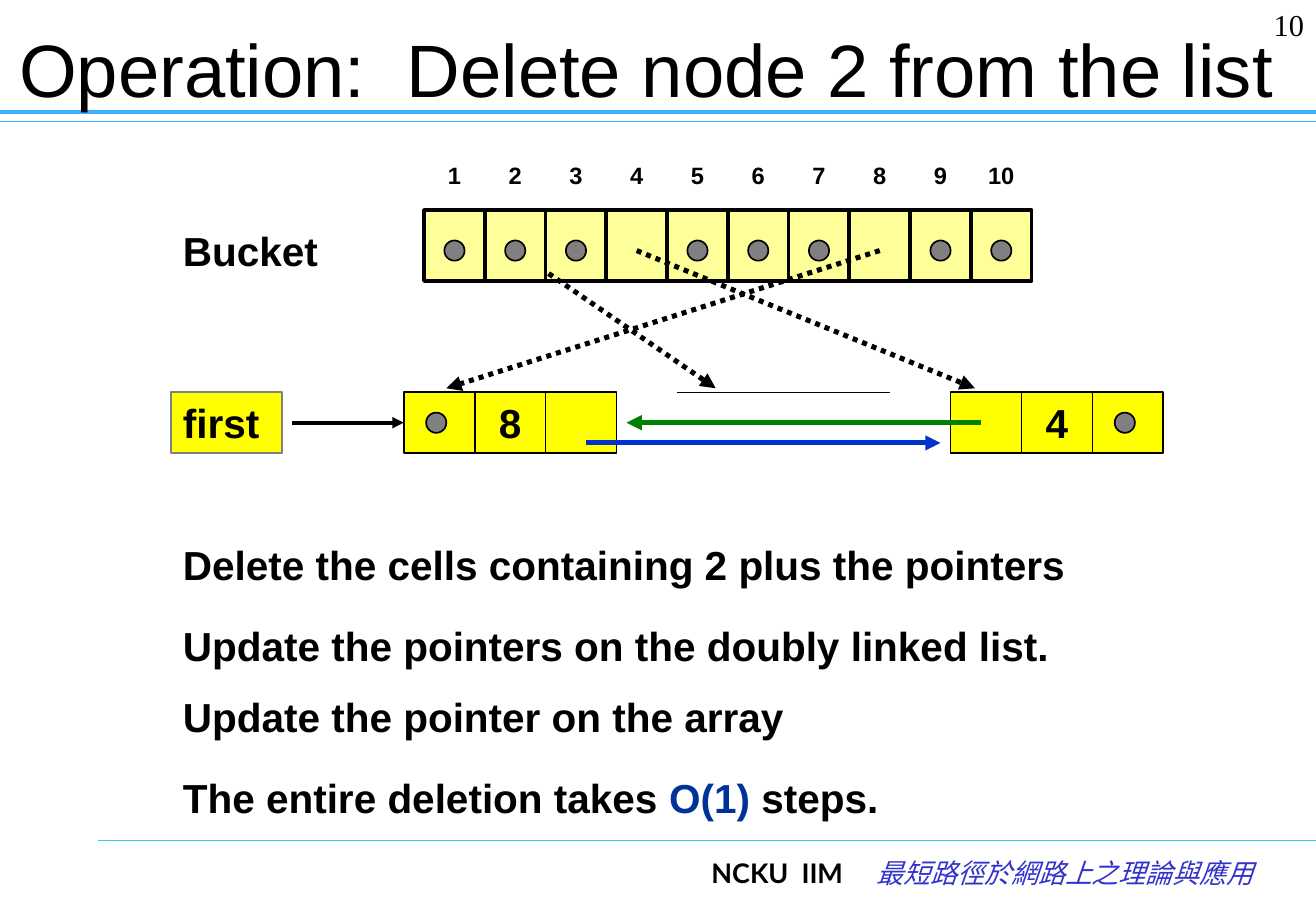
import dataclasses

import pptx
import pptx.dml.color
import pptx.enum.dml
import pptx.enum.shapes
import pptx.enum.text
import pptx.oxml.ns
import pptx.util
from lxml import etree

SHAPE = pptx.enum.shapes.MSO_SHAPE
ALIGN = pptx.enum.text.PP_ALIGN
ANCHOR = pptx.enum.text.MSO_ANCHOR
DOTTED = pptx.enum.dml.MSO_LINE.ROUND_DOT
qn = pptx.oxml.ns.qn


@dataclasses.dataclass(frozen=True)
class Theme:
    font: str = "Arial"
    page_font: str = "Times New Roman"
    footer_font: str = "Lato"
    course_font: str = "Noto Sans Mono"
    ink: str = "000000"
    array_cell: str = "FFFF99"
    node_cell: str = "FFFF00"
    grey: str = "808080"
    next_link: str = "0033CC"
    prev_link: str = "008000"
    emphasis: str = "003399"
    course: str = "3333CC"
    title_rule: str = "3DB0FF"
    footer_rule: str = "33CCFF"
    title_size: int = 44
    body_size: int = 24
    page_size: int = 18
    footer_size: int = 16
    index_size: int = 14


def rgb(value):
    return pptx.dml.color.RGBColor.from_string(value)


class Board:
    """Draws on a grid of columns 1/6 inch wide and rows 1/12 inch high."""

    def __init__(self, slide, theme):
        self.s, self.theme = slide, theme

    def x(self, col):
        return pptx.util.Inches(col / 6 - 0.01)

    def y(self, row):
        return pptx.util.Inches(row / 12 - 0.02)

    def frame(self, col, row, cols, rows):
        return (self.x(col), self.y(row),
                pptx.util.Inches(cols / 6), pptx.util.Inches(rows / 12))

    def set_text(self, sp, runs, align=ALIGN.LEFT, anchor=ANCHOR.TOP, **style):
        """Fill a shape with one paragraph; runs are (text, style) pairs or a string."""
        tf = sp.text_frame
        tf.word_wrap = True
        tf.vertical_anchor = anchor
        p = tf.paragraphs[0]
        p.alignment = align
        for text, own in [(runs, {})] if isinstance(runs, str) else runs:
            look = {"size": self.theme.body_size, "font": self.theme.font,
                    "color": self.theme.ink, "bold": True, "italic": False,
                    **style, **own}
            r = p.add_run()
            r.text = text
            r.font.size = pptx.util.Pt(look["size"])
            r.font.name = look["font"]
            r.font.bold, r.font.italic = look["bold"], look["italic"]
            r.font.color.rgb = rgb(look["color"])
            etree.SubElement(r._r.rPr, qn("a:ea"), typeface=look["font"])
        return p

    def text(self, col, row, cols, rows, runs, **style):
        sp = self.s.shapes.add_textbox(*self.frame(col, row, cols, rows))
        return self.set_text(sp, runs, **style)

    def shape(self, kind, col, row, cols, rows, fill, width=1, line=None):
        sp = self.s.shapes.add_shape(kind, *self.frame(col, row, cols, rows))
        sp.shadow.inherit = False
        sp.fill.solid()
        sp.fill.fore_color.rgb = rgb(fill)
        sp.line.color.rgb = rgb(line or self.theme.ink)
        sp.line.width = pptx.util.Pt(width)
        return sp

    def dot(self, col, row):
        self.shape(SHAPE.OVAL, col, row, 1, 2, self.theme.grey)

    def array_cell(self, col, has_dot):
        self.shape(SHAPE.RECTANGLE, col, 21, 3, 7, self.theme.array_cell, 2.25)
        if has_dot:
            self.dot(col + 1, 24)

    def node(self, col, label, dot_part):
        """Draw previous, value and next cells; return the first one."""
        cells = [self.shape(SHAPE.RECTANGLE, col + 3.5 * i, 39, 3.5, 6, self.theme.node_cell)
                 for i in range(3)]
        self.set_text(cells[1], label, align=ALIGN.CENTER, anchor=ANCHOR.MIDDLE)
        self.dot(col + 3.5 * dot_part + 1.1, 41)
        return cells[0]

    def line(self, start, end, width, color=None, arrow=False, dash=None):
        straight = pptx.enum.shapes.MSO_CONNECTOR.STRAIGHT
        c = self.s.shapes.add_connector(straight, self.x(start[0]), self.y(start[1]),
                                        self.x(end[0]), self.y(end[1]))
        c.line.color.rgb = rgb(color or self.theme.ink)
        c.line.width = pptx.util.Pt(width)
        if dash:
            c.line.dash_style = dash
        if arrow:
            ln = c._element.spPr.find(qn("a:ln"))
            etree.SubElement(ln, qn("a:tailEnd"), type="triangle")
        etree.SubElement(c._element.spPr, qn("a:effectLst"))
        return c


def draw_frame(board):
    """Title, page number, rules and footer."""
    t = board.theme
    left, right = 0.06, 65.04
    board.line((left, 12.24), (right, 12.24), 0.75, t.title_rule)
    board.line((left, 11.28), (right, 11.28), 2.5, t.title_rule)
    board.line((4.9, 83.3), (right, 83.3), 0.75, t.footer_rule)
    board.text(left, 1.7, 63.9, 10.4, "Operation:  Delete node 2 from the list",
               size=t.title_size, bold=False, align=ALIGN.CENTER, anchor=ANCHOR.MIDDLE)
    board.text(59.64, 0.24, 5.4, 6, "10", size=t.page_size, font=t.page_font,
               bold=False, align=ALIGN.RIGHT)
    p = board.text(34.6, 84.24, 28, 6, [
        ("NCKU  IIM\t", {"font": t.footer_font}),
        ("最短路徑於網路上之理論與應用",
         {"font": t.course_font, "color": t.course, "bold": False, "italic": True}),
    ], size=t.footer_size)
    tabs = etree.SubElement(p._p.get_or_add_pPr(), qn("a:tabLst"))
    etree.SubElement(tabs, qn("a:tab"), pos=str(pptx.util.Inches(1.36)), algn="l")


def draw_bucket(board):
    first_col, linked, deleted = 21, (4, 8), 2
    board.text(8.5, 22, 10, 6, "Bucket")
    columns = {n: first_col + 3 * (n - 1) for n in range(1, 11)}
    for n, col in columns.items():
        board.text(col, 14, 3, 7, str(n), size=board.theme.index_size,
                   align=ALIGN.CENTER, anchor=ANCHOR.MIDDLE)
        if n != deleted:
            board.array_cell(col, n not in linked)
    for n, target in ((deleted, 35.4), (4, 48.2), (8, 22.1)):
        board.line((columns[n] + 1.5, 25), (target, 38.6), 3, arrow=True, dash=DOTTED)
    board.array_cell(columns[deleted], True)


def draw_list(board):
    t = board.theme
    label = board.shape(SHAPE.RECTANGLE, 8.5, 39, 5.5, 6, t.node_cell, line=t.grey)
    board.set_text(label, "first")
    head = board.node(20, "8", 0)
    board.node(47, "4", 2)
    board.line((14.5, 42), (20, 42), 2.25, arrow=True).end_connect(head, 1)
    board.line((33.5, 39), (44, 39), 0.5)
    board.line((29, 44), (46.5, 44), 3, t.next_link, arrow=True)
    board.line((48.5, 42), (31, 42), 3, t.prev_link, arrow=True)


def draw_steps(board):
    steps = [
        (53, "Delete the cells containing 2 plus the pointers"),
        (61, "Update the pointers on the doubly linked list."),
        (68, "Update the pointer on the array"),
        (76, [("The entire deletion takes ", {}),
              ("O(1)", {"color": board.theme.emphasis}), (" steps.", {})]),
    ]
    for row, runs in steps:
        board.text(8.5, row, 47.5, 6, runs)


def main():
    prs = pptx.Presentation()
    prs.slide_width = pptx.util.Inches(10.83)
    prs.slide_height = pptx.util.Inches(7.5)
    board = Board(prs.slides.add_slide(prs.slide_layouts[6]), Theme())
    for draw in (draw_frame, draw_bucket, draw_list, draw_steps):
        draw(board)
    prs.save("out.pptx")


if __name__ == "__main__":
    main()
